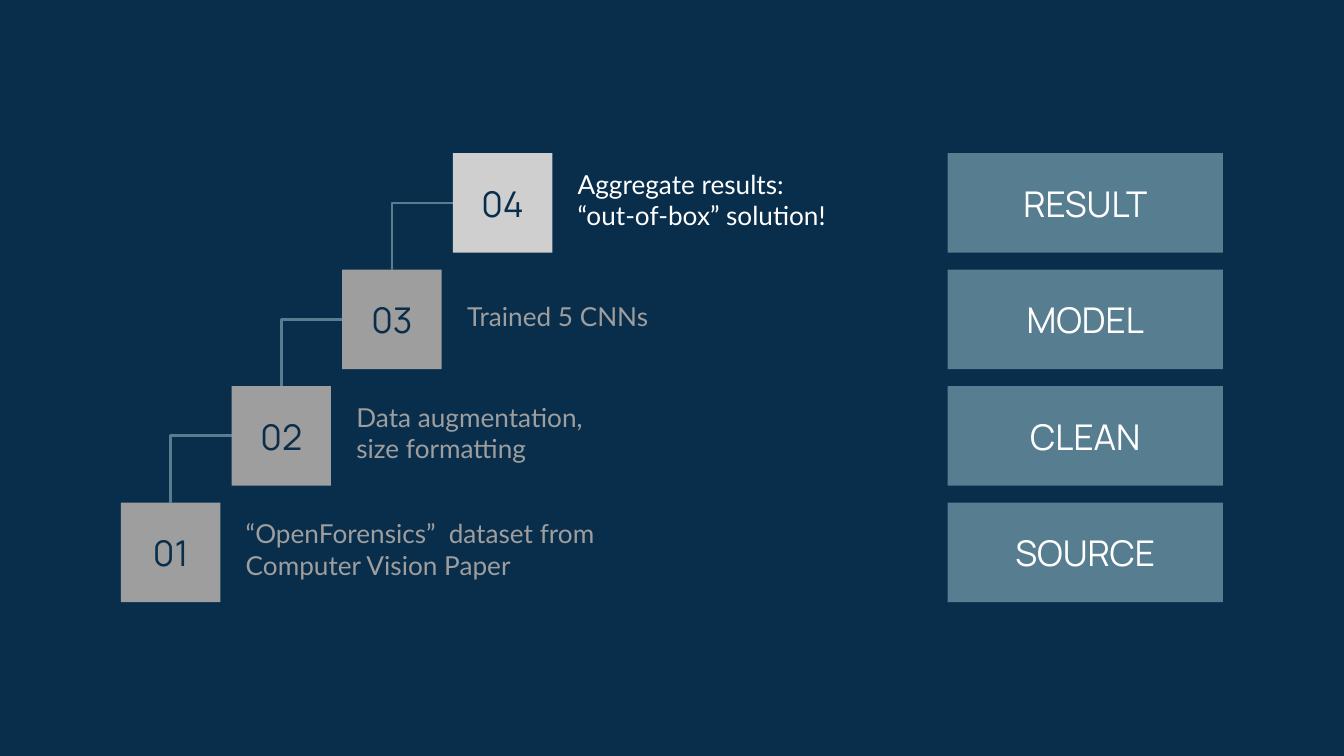
from dataclasses import dataclass
from lxml.etree import SubElement
from pptx import Presentation
from pptx.dml.color import RGBColor as RGB
from pptx.enum.shapes import MSO_CONNECTOR as LINK, MSO_SHAPE as SHAPE
from pptx.enum.text import MSO_ANCHOR as ANCHOR, PP_ALIGN as ALIGN
from pptx.oxml.ns import qn
from pptx.util import Inches, Pt


@dataclass(frozen=True)
class Theme:
    """Colours, fonts and type sizes of the slide."""
    navy: RGB = RGB.from_string("092E4B")
    steel: RGB = RGB.from_string("577D90")
    gray: RGB = RGB.from_string("9E9E9E")
    light: RGB = RGB.from_string("CFCFCF")
    white: RGB = RGB.from_string("FFFFFF")
    head: str = "Manrope"
    body: str = "Lato"
    big: Pt = Pt(19)
    small: Pt = Pt(14)
    rule: Pt = Pt(1.5)


THEME = Theme()
WIDE = Inches(10)
SIDE = 0.74
LEFT, BASE = 0.9, 3.74
RUN, RISE = 2.47 / 3, 2.6 / 3
STEPS = [
    ("SOURCE", "“OpenForensics”  dataset from Computer Vision Paper", 2.89),
    ("CLEAN", "Data augmentation, size formatting", 2.2),
    ("MODEL", "Trained 5 CNNs", 2.2),
    ("RESULT", "Aggregate results: “out-of-box” solution!", 2.2),
]


def apply(item, form):
    """Set each attribute named in the format dict."""
    for name, value in form.items():
        setattr(item, name, value)


def write(shape, text, tint, font, size, top, align):
    """Fill a shape with one styled paragraph."""
    frame = shape.text_frame
    pad = Inches(0.1)
    apply(frame, dict(word_wrap=True, vertical_anchor=ANCHOR.MIDDLE,
                      margin_left=pad, margin_right=pad,
                      margin_top=Inches(top), margin_bottom=pad))
    para = frame.paragraphs[0]
    apply(para, dict(text=text, alignment=align))
    apply(para.runs[0].font, dict(name=font, size=size))
    para.runs[0].font.color.rgb = tint


def add_block(slide, x, y, wide, text, fill, tint):
    """Add a flat rectangle with a centred label."""
    block = slide.shapes.add_shape(
        SHAPE.RECTANGLE, Inches(x), Inches(y), Inches(wide), Inches(SIDE))
    block.shadow.inherit = False
    block.fill.solid()
    block.fill.fore_color.rgb = fill
    block.line.fill.background()
    write(block, text, tint, THEME.head, THEME.big, 0.1, ALIGN.CENTER)


def add_note(slide, x, y, wide, text, tint):
    """Add the text beside a step."""
    note = slide.shapes.add_textbox(
        Inches(x), Inches(y), Inches(wide), Inches(SIDE))
    write(note, text, tint, THEME.body, THEME.small, 0.05, ALIGN.LEFT)


def add_link(slide, x, y):
    """Add an elbow going up from (x, y), then right to the next step."""
    wide, high = RUN - SIDE / 2, RISE - SIDE / 2
    mid_x, mid_y = x + wide / 2, y - high / 2
    link = slide.shapes.add_connector(
        LINK.ELBOW, Inches(mid_x - high / 2), Inches(mid_y - wide / 2),
        Inches(mid_x + high / 2), Inches(mid_y + wide / 2))
    link.line.color.rgb = THEME.steel
    link.line.width = THEME.rule
    props = link._element.spPr
    props.find(qn("a:xfrm")).set("rot", str(270 * 60000))
    props.find(qn("a:prstGeom")).set("prst", "bentConnector2")
    SubElement(props, qn("a:effectLst"))


def add_step(slide, rank, label, text, wide):
    """Add one step with its number, note, link and label."""
    x, y = LEFT + rank * RUN, BASE - rank * RISE
    last = rank == len(STEPS) - 1
    add_note(slide, x + 0.83, y, wide, text,
             THEME.white if last else THEME.gray)
    add_block(slide, x, y, SIDE, f"{rank + 1:02}",
              THEME.light if last else THEME.gray, THEME.navy)
    add_block(slide, 7.05, y, 2.05, label, THEME.steel, THEME.white)
    if not last:
        add_link(slide, x + SIDE / 2, y)


def main():
    """Build the slide and save it."""
    deck = Presentation()
    apply(deck, dict(slide_width=WIDE, slide_height=WIDE * 9 // 16))
    slide = deck.slides.add_slide(deck.slide_layouts[6])
    slide.background.fill.solid()
    slide.background.fill.fore_color.rgb = THEME.navy
    for rank, step in enumerate(STEPS):
        add_step(slide, rank, *step)
    deck.save("out.pptx")


if __name__ == "__main__":
    main()
